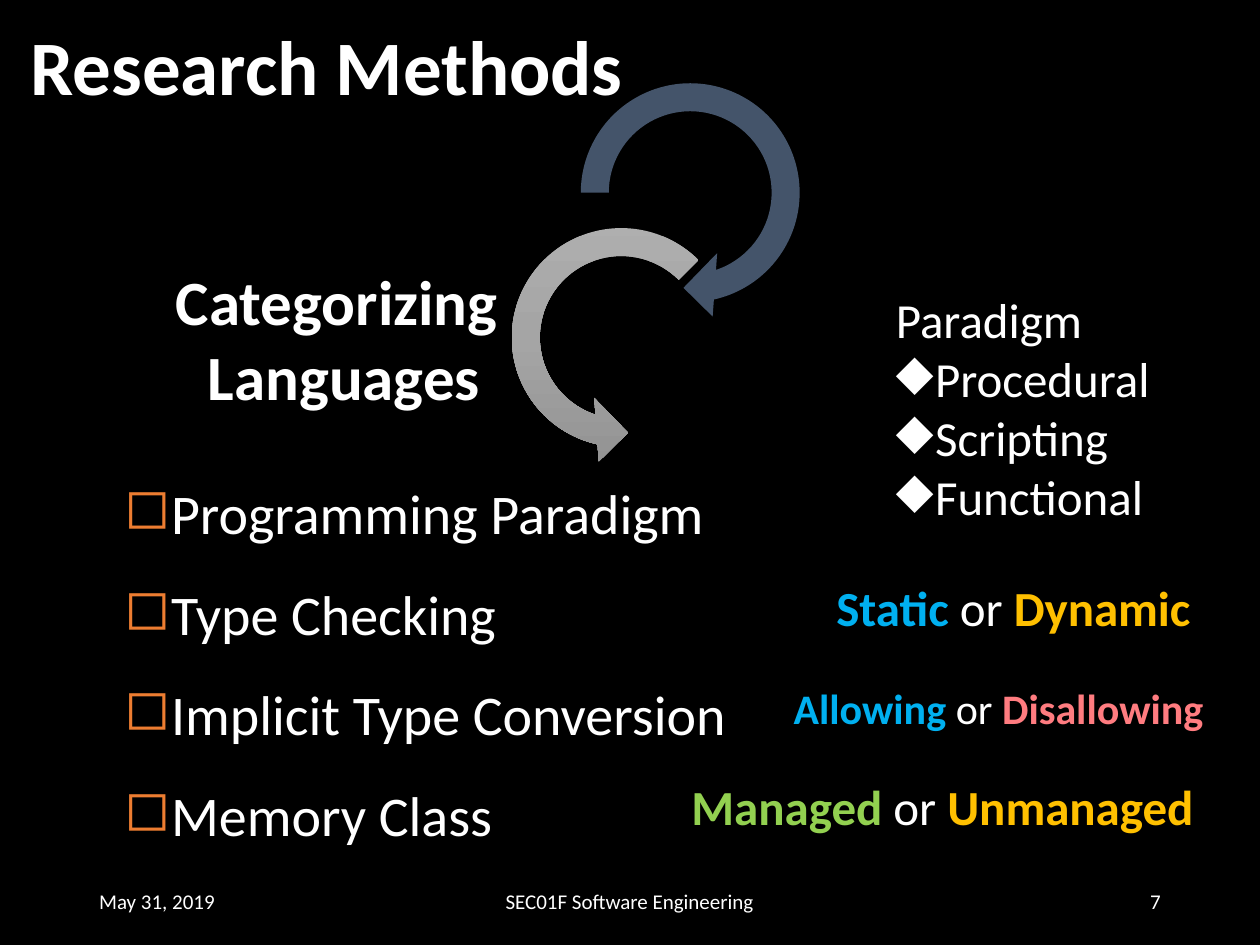
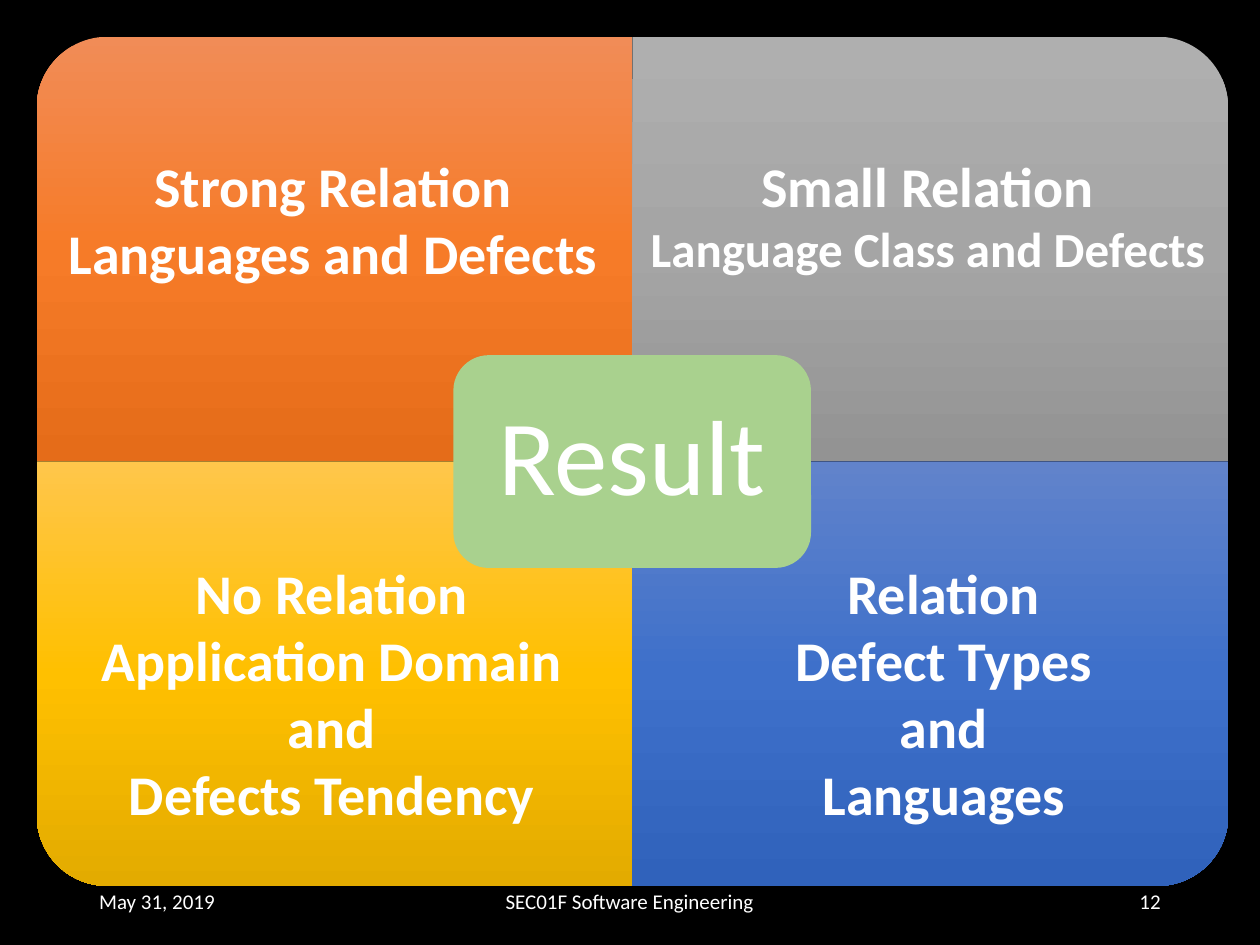
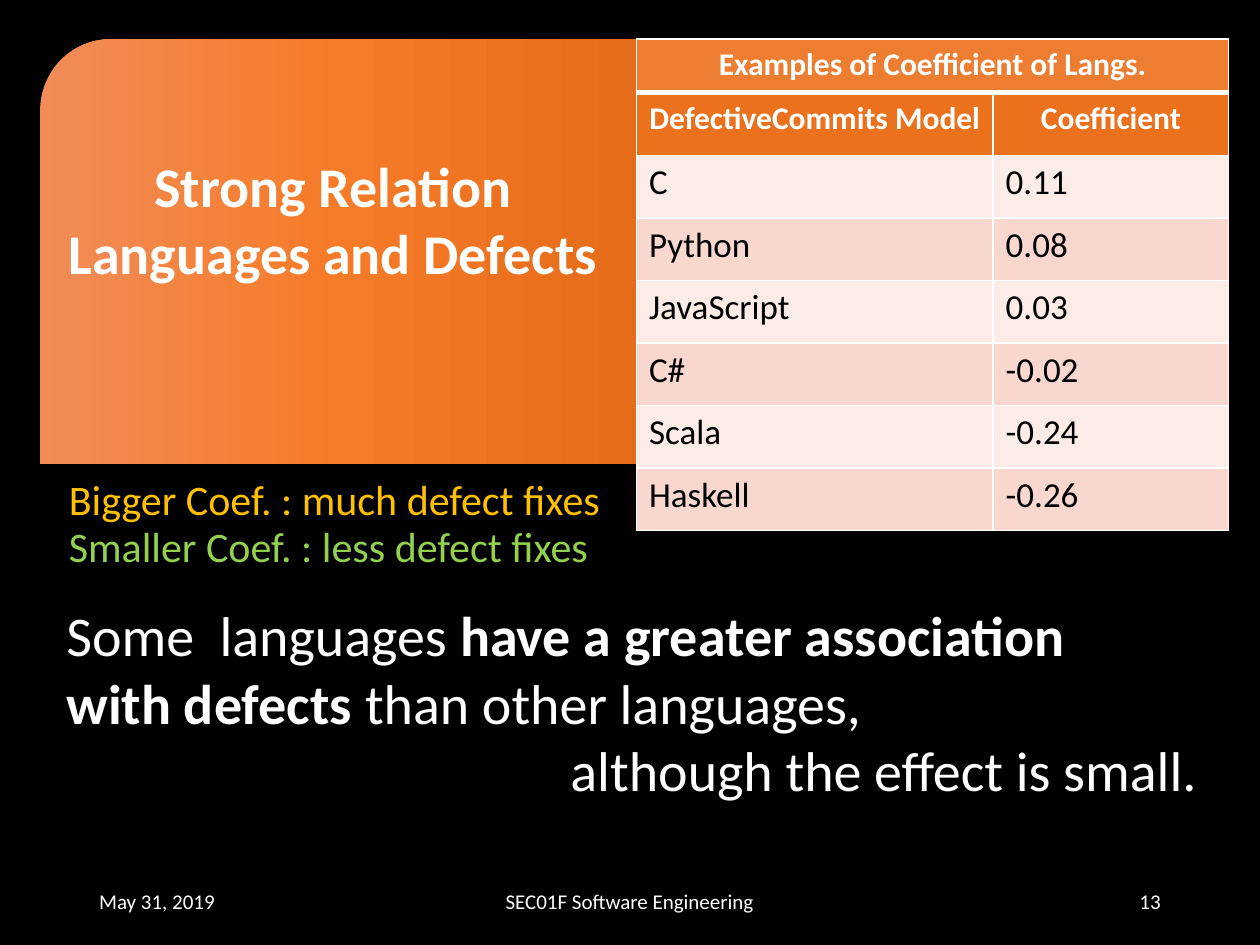
from copy import deepcopy

from lxml import etree
from pptx import Presentation
from pptx.dml.color import RGBColor
from pptx.enum.shapes import MSO_SHAPE as Preset
from pptx.enum.text import MSO_ANCHOR as Anchor, MSO_AUTO_SIZE as AutoSize, PP_ALIGN as Align
from pptx.oxml.ns import qn
from pptx.util import Cm, Pt

FONT = "Calibri"
COLOURS = {
    "black": "000000", "white": "FFFFFF", "blue": "00B0F0", "gold": "FFC000",
    "pink": "FF7C80", "lime": "92D050", "orange": "ED7D31", "deep orange": "EB711D",
    "slate": "44546A", "leaf": "A9D18E", "pale": "FCECE8", "rose": "F8D7CE",
}
COLOURS = {name: RGBColor.from_string(value) for name, value in COLOURS.items()}
GRADIENTS = {
    "orange": ("F18C57", "F67B28", "E56C19"),
    "grey": ("AFAFAF", "A5A5A5", "939393"),
    "gold": ("FFC64B", "FFC000", "E3AB00"),
    "blue": ("6183CB", "3E70CA", "3062BB"),
}
TILE_WIDTH, TILE_HEIGHT = 12.01, 8.56
STRONG_RELATION = ["Strong Relation", "Languages and Defects"]
STRONG_PLACE = (1.09, 2.92, 11.25, 3)


def write_text(box, lines, place=None, size=32, bold=False, colour="white", align=Align.LEFT,
               anchor=Anchor.TOP, wrap=True, grow=True, spacing=None,
               bullet=None, bullet_colour="white", bullet_from=0):
    if place:
        box.left, box.top, box.width, box.height = map(Cm, place)
    frame = box.text_frame
    frame.word_wrap = wrap
    frame.auto_size = AutoSize.SHAPE_TO_FIT_TEXT if grow else AutoSize.NONE
    frame.vertical_anchor = anchor
    for index, line in enumerate(lines):
        para = frame.paragraphs[0] if index == 0 else frame.add_paragraph()
        para.alignment = align
        if spacing:
            para.line_spacing = spacing
        if bullet and index >= bullet_from:
            props = para._p.get_or_add_pPr()
            props.set("marL", str(Cm(0.79)))
            props.set("indent", str(-Cm(0.79)))
            tint = etree.SubElement(props, qn("a:buClr"))
            etree.SubElement(tint, qn("a:srgbClr")).set("val", str(COLOURS[bullet_colour]))
            etree.SubElement(props, qn("a:buChar")).set("char", bullet)
        for text, look in [(line, {})] if isinstance(line, str) else line:
            if text == "\n":
                para.add_line_break()
                continue
            span = para.add_run()
            span.text = text
            span.font.name = FONT
            span.font.size = Pt(look.get("size", size))
            span.font.bold = look.get("bold", bold)
            span.font.color.rgb = COLOURS[look.get("colour", colour)]


def paint_gradient(shape, name, angle):
    shape.shadow.inherit = False
    shape.line.fill.background()
    shape.fill.gradient()
    shape.fill.gradient_angle = angle
    stops = shape.element.spPr.find(qn("a:gradFill")).find(qn("a:gsLst"))
    stops.append(deepcopy(stops[-1]))
    for stop, position, value in zip(shape.fill.gradient_stops, (0, 0.5, 1), GRADIENTS[name]):
        stop.position = position
        stop.color.rgb = RGBColor.from_string(value)


deck = Presentation()
deck.slide_width, deck.slide_height = Cm(25.4), Cm(19.05)
background = deck.slide_master.background.fill
background.solid()
background.fore_color.rgb = COLOURS["black"]

pages = []
for number in ("7", "12", "13"):
    page = deck.slides.add_slide(deck.slide_layouts[5])
    pages.append(page)
    for text, left, width, align in (
        ("May 31, 2019", 1.75, 5.72, Align.LEFT),
        ("SEC01F Software Engineering", 8.41, 8.57, Align.CENTER),
        (number, 17.93, 5.72, Align.RIGHT),
    ):
        footer = page.shapes.add_textbox(0, 0, 0, 0)
        write_text(footer, [text], (left, 17.65, width, 1.02), size=12, align=align,
                   anchor=Anchor.MIDDLE, grow=False)
methods, results, strong = pages

write_text(methods.shapes.title, ["Research Methods"], (0.36, 0.25, 12.57, 2.13),
           size=44, bold=True, wrap=False)

for preset, left, top, start, end in (
    (Preset.LEFT_CIRCULAR_ARROW, 9.96, 4.24, 63, 189),
    (Preset.CIRCULAR_ARROW, 11.35, 1.32, 45, 108),
):
    arrow = methods.shapes.add_shape(preset, Cm(left), Cm(top), Cm(5.13), Cm(5.13))
    for index, value in enumerate((0.11, 11.42, start, end, 0.125)):
        arrow.adjustments[index] = value
    if preset == Preset.LEFT_CIRCULAR_ARROW:
        paint_gradient(arrow, "grey", 270)
    else:
        arrow.shadow.inherit = False
        arrow.line.fill.background()
        arrow.fill.solid()
        arrow.fill.fore_color.rgb = COLOURS["slate"]

plain = {"bold": False, "colour": "white"}
for lines, place, look in (
    (["Categorizing ", "Languages"], (3.25, 5.16, 7.37, 3.33),
     dict(size=36, bold=True, align=Align.CENTER, wrap=False)),
    (["Programming Paradigm", "Type Checking", "Implicit Type Conversion", "Memory Class"],
     (2.26, 8.84, 12.83, 8.46),
     dict(wrap=False, spacing=1.5, bullet="◻", bullet_colour="orange")),
    (["Paradigm", "Procedural", "Scripting", "Functional"], (17.81, 5.72, 6.05, 5.05),
     dict(size=28, bullet="◆", bullet_from=1)),
    ([[("Static", {"colour": "blue"}), (" or ", plain), ("Dynamic", {"colour": "gold"})]],
     (16.61, 11.51, 8.46, 1.45), dict(size=28, bold=True)),
    ([[("Allowing", {"colour": "blue"}), (" or ", plain), ("Disallowing", {"colour": "pink"})]],
     (15.75, 13.64, 9.19, 1.27), dict(size=24, bold=True)),
    ([[("Managed ", {"colour": "lime"}), ("or ", plain), ("Unmanaged", {"colour": "gold"})]],
     (13.69, 15.52, 11.38, 1.45), dict(size=28, bold=True)),
):
    write_text(methods.shapes.add_textbox(0, 0, 0, 0), lines, place, **look)

for page, name, left, top, rotation, angle in (
    (results, "orange", 0.74, 0.74, 270, 180),
    (results, "grey", 0.74 + TILE_WIDTH, 0.74, 0, 270),
    (results, "gold", 0.74, 0.74 + TILE_HEIGHT, 180, 90),
    (results, "blue", 0.74 + TILE_WIDTH, 0.74 + TILE_HEIGHT, 90, 0),
    (strong, "orange", 0.81, 0.79, 270, 270),
):
    width, height = TILE_WIDTH, TILE_HEIGHT
    if rotation % 180:
        shift = (width - height) / 2
        left, top, width, height = left + shift, top - shift, height, width
    tile = page.shapes.add_shape(Preset.ROUND_1_RECTANGLE, Cm(left), Cm(top), Cm(width), Cm(height))
    tile.rotation = rotation
    paint_gradient(tile, name, angle)

hub = results.shapes.add_shape(Preset.ROUNDED_RECTANGLE, Cm(9.14), Cm(7.16), Cm(7.21), Cm(4.29))
hub.shadow.inherit = False
hub.line.fill.background()
hub.fill.solid()
hub.fill.fore_color.rgb = COLOURS["leaf"]
hub.element.addnext(results.shapes.title.element)
write_text(results.shapes.title, ["Result"], (9.35, 7.37, 6.78, 3.86), size=61,
           align=Align.CENTER, anchor=Anchor.MIDDLE, grow=False, spacing=0.9)

for lines, place in (
    (STRONG_RELATION, STRONG_PLACE),
    (["Small Relation", [("Language Class and Defects", {"size": 28})]], (12.8, 2.92, 11.81, 2.82)),
    (["No Relation", "Application Domain", "and", "Defects Tendency"], (1.75, 11.13, 9.88, 5.74)),
    (["Relation", "Defect Types", "and", "Languages"], (15.75, 11.13, 6.55, 5.74)),
):
    write_text(results.shapes.add_textbox(0, 0, 0, 0), lines, place, bold=True,
               align=Align.CENTER, wrap=False)

tile.element.addnext(strong.shapes.title.element)
write_text(strong.shapes.title, STRONG_RELATION, STRONG_PLACE, bold=True,
           align=Align.CENTER, wrap=False)

finding = strong.shapes.add_textbox(0, 0, 0, 0)
write_text(finding, [
    [("Some  languages ", {}), ("have a greater association", {"bold": True}), ("\n", {}),
     ("with defects ", {"bold": True}), ("than other languages,", {})],
    "although the effect is small.",
], (1.09, 11.99, 23.9, 4.37))
finding.text_frame.paragraphs[1]._p.get_or_add_pPr().set("marL", str(Cm(10.16)))

for text, top, width, colour in (
    ("Bigger Coef. : much defect fixes", 9.42, 11.33, "gold"),
    ("Smaller Coef. : less defect fixes", 10.36, 11.07, "lime"),
):
    write_text(strong.shapes.add_textbox(0, 0, 0, 0), [text], (1.14, top, width, 1.27),
               size=24, colour=colour, wrap=False)

rows = [
    ("Examples of Coefficient of Langs.", ""),
    ("DefectiveCommits Model", "Coefficient"),
    ("C", "0.11"),
    ("Python", "0.08"),
    ("JavaScript", "0.03"),
    ("C#", "-0.02"),
    ("Scala", "-0.24"),
    ("Haskell", "-0.26"),
]
table = strong.shapes.add_table(len(rows), 2, Cm(12.83), Cm(0.79), Cm(11.94), Cm(9.9)).table
table.columns[0].width, table.columns[1].width = Cm(7.19), Cm(4.75)
table.cell(0, 0).merge(table.cell(0, 1))
for row, values in enumerate(rows):
    table.rows[row].height = Cm(1.26 if row else 1.08)
    for column, value in enumerate(values):
        cell = table.cell(row, column)
        props = cell._tc.get_or_add_tcPr()
        for side in "LRTB":
            thick = (row, side) in ((0, "B"), (1, "T"))
            border = etree.SubElement(props, qn(f"a:ln{side}"))
            border.set("w", str(Pt(3 if thick else 1)))
            paint = etree.SubElement(border, qn("a:solidFill"))
            etree.SubElement(paint, qn("a:srgbClr")).set("val", str(COLOURS["white"]))
        cell.fill.solid()
        fill = ("orange", "deep orange")[row] if row < 2 else ("pale", "rose")[row % 2]
        cell.fill.fore_color.rgb = COLOURS[fill]
        if value:
            header = row < 2
            para = cell.text_frame.paragraphs[0]
            para.alignment = Align.CENTER if header else Align.LEFT
            span = para.add_run()
            span.text = value
            span.font.name = FONT
            span.font.size = Pt(18 if header else 20)
            span.font.bold = header
            span.font.color.rgb = COLOURS["white" if header else "black"]

deck.save("out.pptx")
